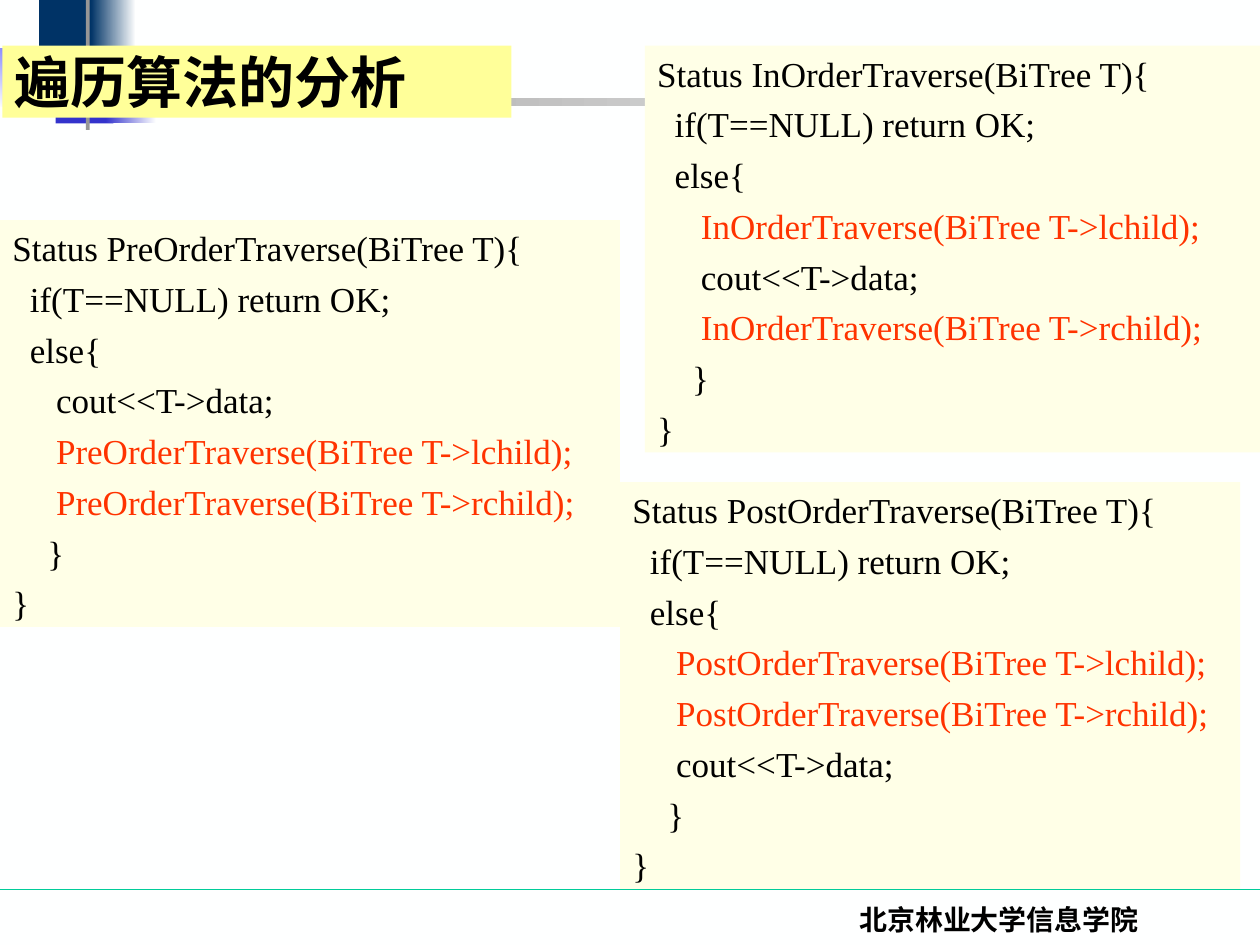
import pptx
import pptx.util
import pptx.dml.color
import pptx.enum.shapes
import pptx.enum.text
import pptx.oxml.ns
from dataclasses import dataclass
from lxml import etree
from pptx.util import Cm


@dataclass(frozen=True)
class Theme:
    back: str = "FEFFFF"
    ink: str = "000000"
    call: str = "FF3300"
    panel: str = "FFFFE7"
    head: str = "FFFF99"
    navy: str = "003366"
    indigo: str = "3333CC"
    blue: str = "0000FF"
    gray: str = "969696"
    rule: str = "00CC99"
    latin: str = "Times New Roman"
    asian: str = "Noto Sans CJK SC"
    title: int = 32
    code: int = 20
    foot: int = 16


T = Theme()
PAD = {"margin_left": Cm(0.25), "margin_right": Cm(0.25),
       "margin_top": Cm(0.13), "margin_bottom": Cm(0.13)}
ANCHOR = pptx.enum.text.MSO_ANCHOR
ALIGN = pptx.enum.text.PP_ALIGN


def rgb(hue):
    return pptx.dml.color.RGBColor.from_string(hue)


def apply(item, form):
    for name, value in form.items():
        setattr(item, name, value)


def place(item, box):
    sides = ("left", "top", "width", "height")
    apply(item, {side: Cm(size) for side, size in zip(sides, box)})


def paint(fill, hue):
    fill.solid()
    fill.fore_color.rgb = rgb(hue)


def frame(shape, anchor=ANCHOR.TOP):
    text = shape.text_frame
    apply(text, PAD | {"word_wrap": True, "vertical_anchor": anchor,
                       "auto_size": pptx.enum.text.MSO_AUTO_SIZE.NONE})
    return text


def write(para, text, size, hue=T.ink, face=T.latin, bold=False):
    run = para.add_run()
    run.text = text
    apply(run.font, {"size": pptx.util.Pt(size), "name": face, "bold": bold})
    run.font.color.rgb = rgb(hue)
    east = etree.SubElement(run.font._element, pptx.oxml.ns.qn("a:ea"))
    east.set("typeface", T.asian)


def block(slide, box, hue, end=None, angle=0):
    """Borderless rectangle, with a gradient when an end colour is given."""
    kind = pptx.enum.shapes.MSO_SHAPE.RECTANGLE
    shape = slide.shapes.add_shape(kind, *map(Cm, box))
    shape.shadow.inherit = False
    shape.line.fill.background()
    if end:
        shape.fill.gradient()
        shape.fill.gradient_angle = angle
        for stop, tone in zip(shape.fill.gradient_stops, (hue, end)):
            stop.color.rgb = rgb(tone)
    else:
        paint(shape.fill, hue)
    return shape


def rule(slide, y):
    kind = pptx.enum.shapes.MSO_CONNECTOR.STRAIGHT
    line = slide.shapes.add_connector(kind, 0, Cm(y), Cm(25.4), Cm(y))
    paint(line.line.fill, T.rule)
    line.line.width = pptx.util.Pt(0.75)
    etree.SubElement(line._element.spPr, pptx.oxml.ns.qn("a:effectLst"))


def decor(slide):
    rule(slide, 17.93)
    block(slide, (0.79, 0, 1.22, 1.32), T.navy)
    block(slide, (1.83, 0, 0.91, 1.32), T.navy, T.back)
    block(slide, (1.12, 1.17, 1.17, 1.32), T.indigo)
    block(slide, (2.13, 1.17, 1.02, 1.32), T.indigo, T.back)
    block(slide, (-0.03, 0.97, 1.55, 1.17), T.back, T.blue, 45)
    block(slide, (1.73, -0.3, 0.08, 2.92), T.gray)
    block(slide, (0.84, 1.98, 24.16, 0.15), T.gray, T.back)


def footer(slide, text):
    box = slide.shapes.add_textbox(Cm(14.88), Cm(18.06), Cm(10.52), Cm(1.27))
    para = frame(box).paragraphs[0]
    para.alignment = ALIGN.CENTER
    write(para, text, T.foot, bold=True)


def listing(slide, left, top, name, order):
    """Panel with one traversal; order names the steps of its else branch."""
    func = name + "OrderTraverse"
    steps = {"visit": ("     cout<<T->data;", T.ink),
             "left": (f"     {func}(BiTree T->lchild);", T.call),
             "right": (f"     {func}(BiTree T->rchild);", T.call)}
    lines = [(f"Status {func}(BiTree T){{", T.ink),
             ("  if(T==NULL) return OK;", T.ink), ("  else{", T.ink),
             *(steps[step] for step in order),
             ("    }", T.ink), ("}", T.ink)]
    text = frame(block(slide, (left, top, 12.5, 8.2), T.panel))
    for i, (line, hue) in enumerate(lines):
        para = text.add_paragraph() if i else text.paragraphs[0]
        para.alignment = ALIGN.LEFT
        if i:
            para.space_before = pptx.util.Pt(5)
        write(para, line, T.code, hue)


def heading(slide, text):
    title = slide.shapes.title
    place(title, (0.05, 0.92, 10.26, 1.45))
    paint(title.fill, T.head)
    para = frame(title, ANCHOR.MIDDLE).paragraphs[0]
    para.alignment = ALIGN.LEFT
    write(para, text, T.title, face=T.asian, bold=True)
    slide.shapes._spTree.append(title._element)  # bring to front


def main():
    deck = pptx.Presentation()
    apply(deck, {"slide_width": Cm(25.4), "slide_height": Cm(19.05)})
    slide = deck.slides.add_slide(deck.slide_layouts[5])
    paint(slide.background.fill, T.back)

    # Template parts
    decor(slide)
    footer(slide, "北京林业大学信息学院")

    # The three traversals
    listing(slide, 0, 4.44, "Pre", ("visit", "left", "right"))
    listing(slide, 12.5, 9.72, "Post", ("left", "right", "visit"))
    listing(slide, 13, 0.92, "In", ("left", "visit", "right"))

    # Title, over the decoration
    heading(slide, "遍历算法的分析")
    deck.save("out.pptx")


if __name__ == "__main__":
    main()
